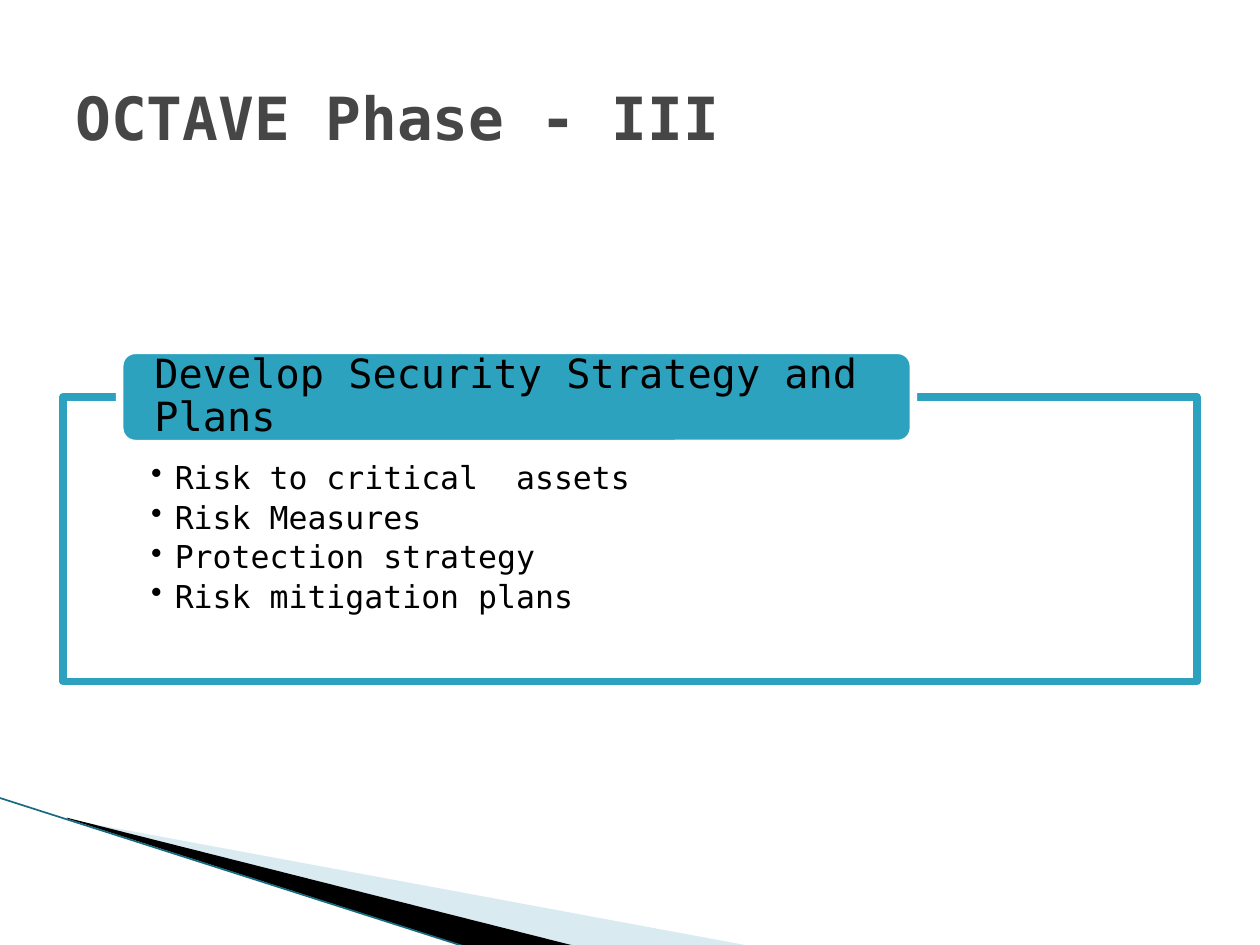
"""Build the OCTAVE Phase III slide with its framed list and corner swoosh."""
from lxml.etree import SubElement
from pptx import Presentation
from pptx.dml.color import RGBColor
from pptx.enum.shapes import MSO_CONNECTOR as Connector, MSO_SHAPE as Shape
from pptx.enum.text import MSO_ANCHOR as Anchor, PP_ALIGN as Align
from pptx.oxml.ns import qn
from pptx.util import Pt

TITLE = "OCTAVE Phase - III"
HEADING = "Develop Security Strategy and Plans"
BULLETS = [
    "Risk to critical  assets",
    "Risk Measures",
    "Protection strategy",
    "Risk mitigation plans",
]

FONT = "DejaVu Sans Mono"
TEAL = RGBColor(0x2D, 0xA2, 0xBF)
DARK_TEAL = RGBColor(0x16, 0x6B, 0x80)
PALE_BLUE = RGBColor(0xA0, 0xCB, 0xDC)
GRAY = RGBColor(0x46, 0x46, 0x46)
BLACK = RGBColor(0, 0, 0)
WHITE = RGBColor(255, 255, 255)

SWOOSHES = [
    ([(39.6, 468.4), (428.4, 540.5), (328.3, 540.5), (39.6, 468)], PALE_BLUE, 40),
    ([(38.2, 467.3), (329, 540.7), (267.8, 541.4), (38.9, 468)], BLACK, 100),
]
EDGE = (-0.7, 455.8, 267.1, 541.4)
TITLE_BOX = (36, 21.6, 648, 90)
FRAME_BOX = (36, 226.8, 648, 162.7)
HEADING_BOX = (68.4, 200.2, 453.6, 53.3)
LINE_WIDTH = 4.33
BULLET_INDENT = 13.5


def points(values):
    return [Pt(value) for value in values]


def paint(shape, fill, line=None):
    shape.shadow.inherit = False
    shape.fill.solid()
    shape.fill.fore_color.rgb = fill
    if line is None:
        shape.line.fill.background()
    else:
        shape.line.color.rgb = line
        shape.line.width = Pt(LINE_WIDTH)


def write(shape, lines, size, color, margins, anchor, bold=False, **spacing):
    frame = shape.text_frame
    sides = ("margin_left", "margin_top", "margin_right", "margin_bottom")
    layout = dict(zip(sides, points(margins)), word_wrap=True, vertical_anchor=anchor)
    for name, value in layout.items():
        setattr(frame, name, value)
    frame.text = "\n".join(lines)
    for paragraph in frame.paragraphs:
        for name, value in dict(alignment=Align.LEFT, **spacing).items():
            setattr(paragraph, name, value)
        font = paragraph.runs[0].font
        font.color.rgb = color
        for name, value in dict(name=FONT, size=Pt(size), bold=bold).items():
            setattr(font, name, value)


def add_bullet(paragraph):
    properties = paragraph._p.get_or_add_pPr()
    properties.set("marL", str(Pt(BULLET_INDENT)))
    properties.set("indent", str(-Pt(BULLET_INDENT)))
    SubElement(properties, qn("a:buChar"), char="•")


def add_swoosh(shapes, outline, color, opacity):
    start, *rest = [points(point) for point in outline]
    builder = shapes.build_freeform(*start)
    builder.add_line_segments(rest, close=True)
    swoosh = builder.convert_to_shape()
    paint(swoosh, color)
    if opacity < 100:
        fill_color = swoosh.fill._xPr.find(qn("a:solidFill"))[0]
        SubElement(fill_color, qn("a:alpha"), val=str(opacity * 1000))


def main():
    presentation = Presentation()
    presentation.slide_width, presentation.slide_height = Pt(720), Pt(540)
    slide = presentation.slides.add_slide(presentation.slide_layouts[6])
    shapes = slide.shapes

    for swoosh in SWOOSHES:
        add_swoosh(shapes, *swoosh)
    edge = shapes.add_connector(Connector.STRAIGHT, *points(EDGE))
    edge.line.color.rgb = DARK_TEAL
    edge.line.width = Pt(0.95)
    SubElement(edge._element.spPr, qn("a:effectLst"))

    frame = shapes.add_shape(Shape.RECTANGLE, *points(FRAME_BOX))
    paint(frame, WHITE, TEAL)
    write(frame, BULLETS, 18, BLACK, (50.4, 37.4, 50.4, 10), Anchor.TOP,
          line_spacing=0.9, space_after=Pt(3.2))
    for paragraph in frame.text_frame.paragraphs:
        add_bullet(paragraph)

    heading = shapes.add_shape(Shape.ROUNDED_RECTANGLE, *points(HEADING_BOX))
    paint(heading, TEAL, WHITE)
    write(heading, [HEADING], 23, BLACK, (17.3, 0, 17.3, 0), Anchor.MIDDLE,
          line_spacing=0.9)

    title = shapes.add_textbox(*points(TITLE_BOX))
    write(title, [TITLE], 34, GRAY, (7.2, 3.6, 7.2, 3.6), Anchor.MIDDLE, bold=True)

    presentation.save("out.pptx")


if __name__ == "__main__":
    main()
